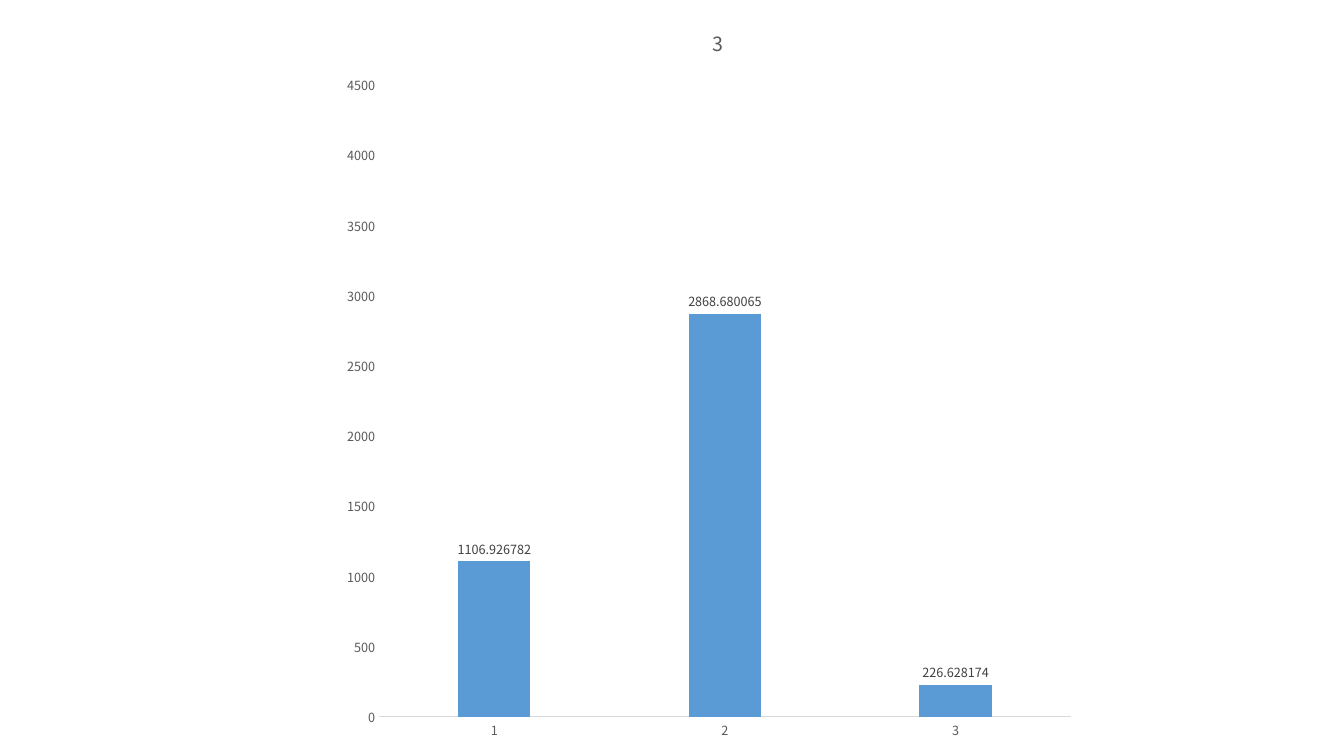
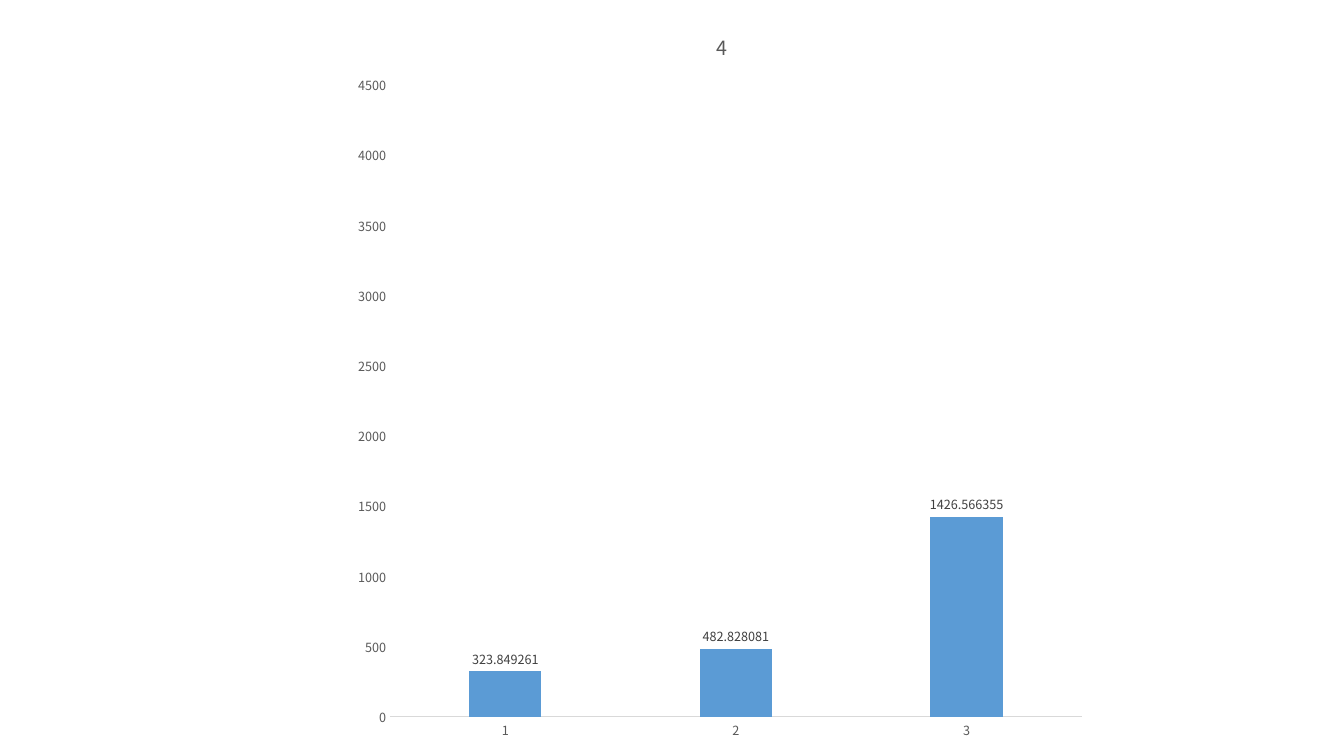
from dataclasses import dataclass

from lxml import etree
from pptx import Presentation
from pptx import util as u
from pptx.chart import data
from pptx.dml import color
from pptx.enum import chart as kinds
from pptx.oxml import ns

SLIDE_WIDTH, SLIDE_HEIGHT = 1344, 756
CHART_SIZE = 754
PLOT_BOX = {"x": 46, "y": 85, "w": 692, "h": 632}


@dataclass(frozen=True)
class Theme:
    font: str = "Noto Sans CJK JP"
    background: str = "FFFFFF"
    bar: str = "5B9BD5"
    axis_line: str = "D9D9D9"
    axis_text: str = "595959"
    label_text: str = "404040"
    title_size: int = 14
    small_size: int = 9


def px(length):
    return u.Emu(round(length * 914400 / 100.8))


def style_font(font, name, size, rgb):
    font.name = name
    font.size = u.Pt(size)
    font.bold = False
    font.color.rgb = color.RGBColor.from_string(rgb)


def write(frame, text, **style):
    frame.text = text
    style_font(frame.paragraphs[0].runs[0].font, **style)


def place(element, index, box, inner=False):
    for old in element.findall(ns.qn("c:layout")):
        element.remove(old)
    layout = etree.Element(ns.qn("c:layout"))
    manual = etree.SubElement(layout, ns.qn("c:manualLayout"))
    settings = [("layoutTarget", "inner")] if inner else []
    settings += [("xMode", "edge"), ("yMode", "edge")]
    settings += [(key, f"{length / CHART_SIZE:.4f}") for key, length in box.items()]
    for tag, value in settings:
        etree.SubElement(manual, ns.qn(f"c:{tag}")).set("val", value)
    element.insert(index, layout)


class Deck:
    def __init__(self, theme):
        self.theme = theme
        self.presentation = Presentation()
        self.presentation.slide_width = px(SLIDE_WIDTH)
        self.presentation.slide_height = px(SLIDE_HEIGHT)
        self.slide = None

    def rgb(self, value):
        return color.RGBColor.from_string(value)

    def add_slide(self):
        self.slide = self.presentation.slides.add_slide(self.presentation.slide_layouts[6])
        fill = self.slide.background.fill
        fill.solid()
        fill.fore_color.rgb = self.rgb(self.theme.background)

    def small_text(self, font, rgb):
        style_font(font, self.theme.font, self.theme.small_size, rgb)

    def style_axis(self, axis):
        axis.has_major_gridlines = False
        axis.major_tick_mark = kinds.XL_TICK_MARK.NONE
        axis.minor_tick_mark = kinds.XL_TICK_MARK.NONE
        self.small_text(axis.tick_labels.font, self.theme.axis_text)

    def column_chart(self, left, title, title_box, values):
        theme = self.theme
        chart_data = data.CategoryChartData()
        chart_data.categories = ["1", "2", "3"]
        chart_data.add_series("Series 1", values)
        chart = self.slide.shapes.add_chart(
            kinds.XL_CHART_TYPE.COLUMN_CLUSTERED,
            px(left), 0, px(CHART_SIZE), px(CHART_SIZE), chart_data,
        ).chart
        style_font(chart.font, theme.font, 10, "000000")
        chart.has_legend = False
        chart.has_title = True
        write(chart.chart_title.text_frame, title,
              name=theme.font, size=theme.title_size, rgb=theme.axis_text)
        place(chart.chart_title.format.element if hasattr(chart.chart_title.format, "element")
              else chart.element.find(f".//{ns.qn('c:title')}"), 1, title_box)
        place(chart.element.find(f".//{ns.qn('c:plotArea')}"), 0, PLOT_BOX, inner=True)

        self.style_axis(chart.category_axis)
        line = chart.category_axis.format.line
        line.color.rgb = self.rgb(theme.axis_line)
        line.width = u.Pt(0.75)
        self.style_axis(chart.value_axis)
        chart.value_axis.format.line.fill.background()
        chart.value_axis.minimum_scale = 0
        chart.value_axis.maximum_scale = 4500
        chart.value_axis.major_unit = 500

        plot = chart.plots[0]
        plot.vary_by_categories = False
        plot.gap_width = 219
        plot.overlap = -27
        bars = plot.series[0]
        bars.format.fill.solid()
        bars.format.fill.fore_color.rgb = self.rgb(theme.bar)
        labels = bars.data_labels
        labels.show_value = True
        labels.position = kinds.XL_LABEL_POSITION.OUTSIDE_END
        self.small_text(labels.font, theme.label_text)


CHARTS = [
    (333, "3", {"x": 376, "y": 23}, (1106.926782, 2868.680065, 226.628174)),
    (344, "4", {"x": 369, "y": 27}, (323.849261, 482.828081, 1426.566355)),
]

deck = Deck(Theme())
for chart_settings in CHARTS:
    deck.add_slide()
    deck.column_chart(*chart_settings)
deck.presentation.save("out.pptx")
